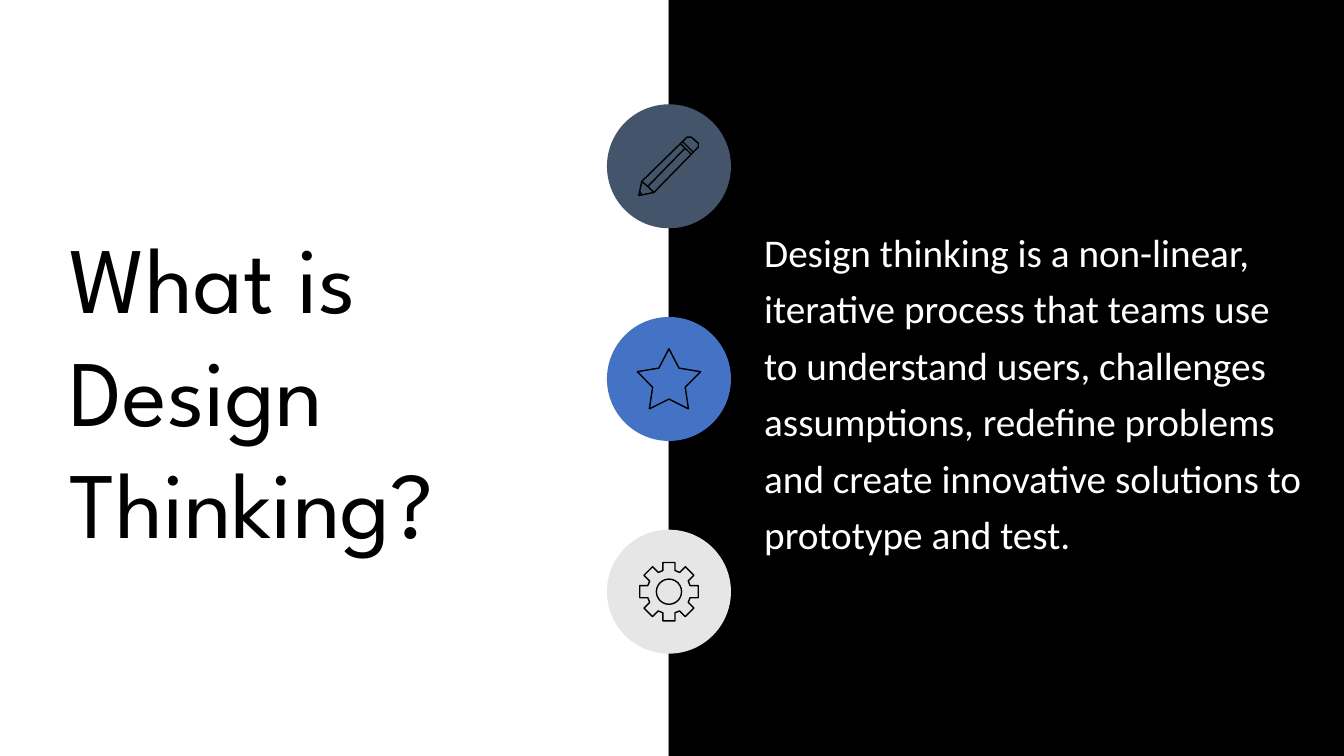
from math import cos, pi, sin

from pptx import Presentation
from pptx.dml.color import RGBColor
from pptx.enum.shapes import MSO_SHAPE as SHAPE
from pptx.util import Inches, Pt

BLACK, WHITE = "000000", "FFFFFF"
CENTER_X = 6.635
DISC_SIZE = 1.23
HUB_SIZE = 0.25

PENCIL = [
    [(-0.3, 0.29), (-0.27, 0.15), (0.18, -0.29), (0.22, -0.29), (0.29, -0.23),
     (0.29, -0.19), (-0.15, 0.26), (-0.3, 0.29)],
    [(0.11, -0.23), (0.22, -0.12)],
    [(0.13, -0.25), (0.24, -0.14)],
    [(-0.27, 0.15), (-0.21, 0.2), (-0.15, 0.26)],
    [(-0.21, 0.2), (0.16, -0.18)],
    [(-0.29, 0.25), (-0.27, 0.28)],
]


def rgb(color):
    return RGBColor.from_string(color)


def paint(s, fill=None, line=None):
    s.shadow.inherit = False
    if fill:
        s.fill.solid()
        s.fill.fore_color.rgb = rgb(fill)
    else:
        s.fill.background()
    if line:
        s.line.color.rgb = rgb(line)
        s.line.width = Pt(1)
    else:
        s.line.fill.background()


def add_panel(slide, x, y, w, h, fill):
    s = slide.shapes.add_shape(SHAPE.RECTANGLE, *map(Inches, (x, y, w, h)))
    paint(s, fill)


def add_circle(slide, y, size, fill=None, line=None):
    left, top = CENTER_X - size / 2, y - size / 2
    s = slide.shapes.add_shape(SHAPE.OVAL, *map(Inches, (left, top, size, size)))
    paint(s, fill, line)


def add_text(slide, x, y, w, h, lines, font, size, color, spacing=None):
    tf = slide.shapes.add_textbox(*map(Inches, (x, y, w, h))).text_frame
    tf.word_wrap = True
    tf.margin_left = tf.margin_top = tf.margin_right = tf.margin_bottom = 0
    tf.text = "\n".join(lines)
    for p in tf.paragraphs:
        p.line_spacing = spacing
        p.font.name = font
        p.font.size = Pt(size)
        p.font.color.rgb = rgb(color)


def add_outline(slide, y, strokes):
    strokes = [[(Inches(px), Inches(py)) for px, py in stroke] for stroke in strokes]
    builder = slide.shapes.build_freeform(*strokes[0][0])
    for stroke in strokes:
        builder.move_to(*stroke[0])
        builder.add_line_segments(stroke[1:], close=stroke[0] == stroke[-1])
    paint(builder.convert_to_shape(Inches(CENTER_X), Inches(y)), line=BLACK)


def star_strokes():
    points = []
    for i in range(11):
        radius = 0.17 if i % 2 else 0.33
        angle = i * pi / 5
        points.append((radius * sin(angle), 0.03 - radius * cos(angle)))
    points[-1] = points[0]
    return [points]


def gear_strokes():
    tooth = [(0.21, -0.06), (0.29, -0.06), (0.29, 0.06), (0.21, 0.06)]
    points = []
    for i in range(8):
        c, s = cos(i * pi / 4), sin(i * pi / 4)
        points += [(x * c - y * s, x * s + y * c) for x, y in tooth]
    return [points + points[:1]]


def main():
    prs = Presentation()
    prs.slide_width, prs.slide_height = Inches(13.33), Inches(7.5)
    slide = prs.slides.add_slide(prs.slide_layouts[6])

    add_panel(slide, 6.63, -0.15, 6.7, 8.42, BLACK)
    add_panel(slide, -0.04, 0, 6.67, 7.5, WHITE)
    add_text(slide, 7.58, 2.17, 5.54, 3.39, [
        "Design thinking is a non-linear,",
        "iterative process that teams use",
        "to understand users, challenges assumptions, redefine problems",
        "and create innovative solutions to prototype and test.",
    ], "Calibri", 28, WHITE, 1.2)
    add_text(slide, 0.69, 2.18, 4.34, 3.38, ["What is Design Thinking?"],
             "League Spartan", 67, BLACK)

    icons = [("44546A", PENCIL), ("4472C4", star_strokes()), ("E7E6E6", gear_strokes())]
    for i, (color, strokes) in enumerate(icons):
        y = 1.65 + i * 2.11
        add_circle(slide, y, DISC_SIZE, fill=color)
        add_outline(slide, y, strokes)
    add_circle(slide, y, HUB_SIZE, line=BLACK)

    prs.save("out.pptx")


if __name__ == "__main__":
    main()
